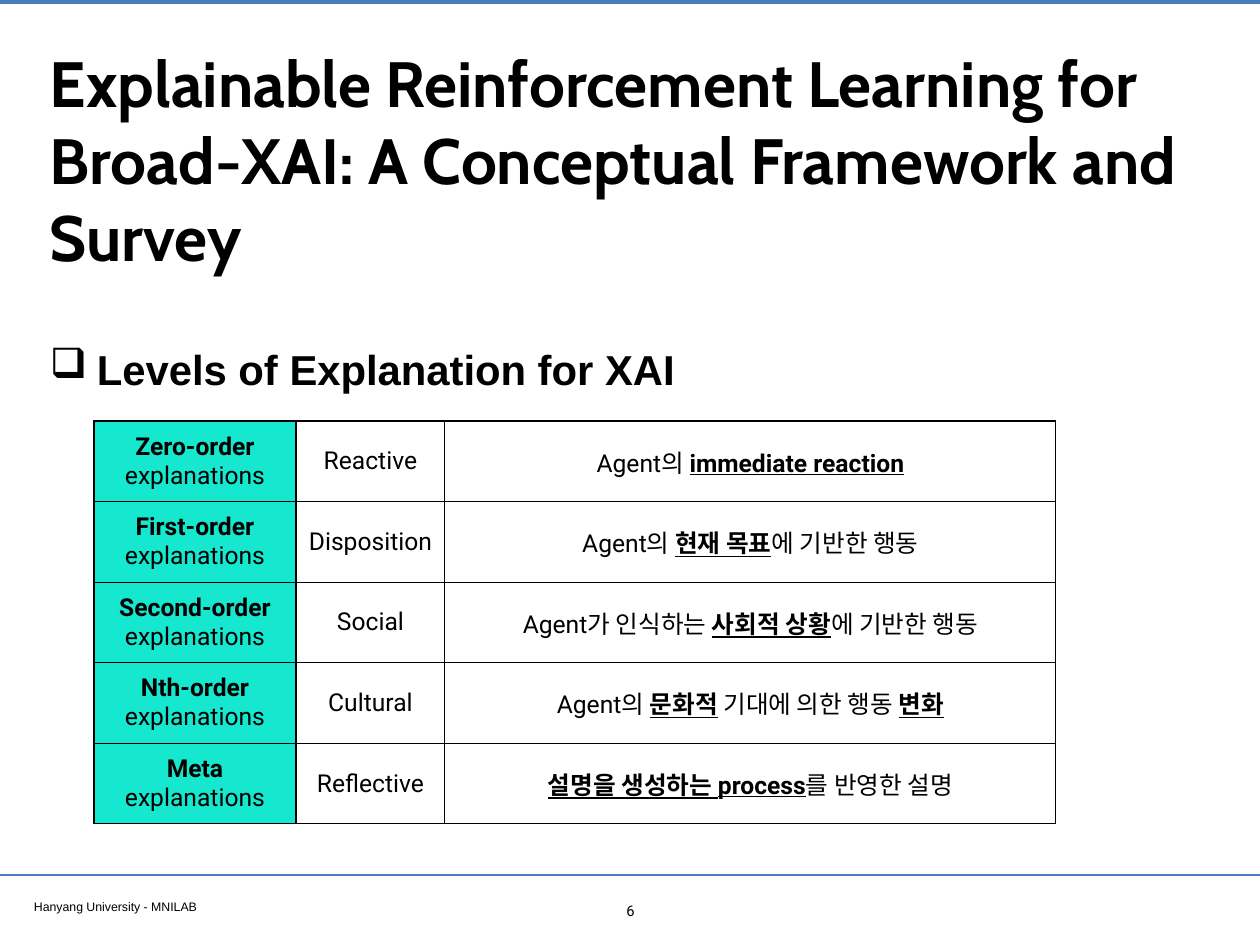
import pptx
import pptx.dml.color
import pptx.enum.text
import pptx.oxml
import pptx.util
from lxml import etree
from pptx.oxml.ns import qn

ALIGN = pptx.enum.text.PP_ALIGN
ANCHOR = pptx.enum.text.MSO_ANCHOR
COLORS = {"text": "000000", "rule": "4A7EBB", "level": "16E7CF"}
SCALE = 10320  # EMU in one px
PAD = 5


def px(count):
    return pptx.util.Emu(count * SCALE)


def rgb(name):
    return pptx.dml.color.RGBColor.from_string(COLORS[name])


class Page:
    def __init__(self, deck):
        self.slide = deck.slides.add_slide(deck.slide_layouts[5])
        self.shapes = self.slide.shapes

    def style(self, font, face, size, bold=False):
        font.name = face
        font.size = pptx.util.Pt(size)
        font.bold = bold
        font.color.rgb = rgb("text")

    def fill(self, shape, text, face, size, bold=False, align=ALIGN.LEFT):
        frame = shape.text_frame
        frame.text = text
        frame.word_wrap = True
        frame.auto_size = pptx.enum.text.MSO_AUTO_SIZE.NONE
        frame.margin_left = frame.margin_right = px(PAD)
        frame.margin_top = frame.margin_bottom = px(PAD)
        para = frame.paragraphs[0]
        para.alignment = align
        self.style(para.runs[0].font, face, size, bold)
        return para

    def title(self, box, text, face, size):
        shape = self.shapes.title
        shape.left, shape.top, shape.width, shape.height = map(px, box)
        self.fill(shape, text, face, size, True)
        shape.text_frame.vertical_anchor = ANCHOR.MIDDLE

    def text(self, box, text, face, size, bold=False, align=ALIGN.LEFT):
        shape = self.shapes.add_textbox(*map(px, box))
        return self.fill(shape, text, face, size, bold, align)

    def bullet(self, para, mark, indent):
        props = para._p.get_or_add_pPr()
        props.set("marL", str(px(indent)))
        props.set("indent", str(-px(indent)))
        etree.SubElement(props, qn("a:buChar")).set("char", mark)

    def rule(self, y, width):
        kind = pptx.enum.shapes.MSO_CONNECTOR.STRAIGHT
        line = self.shapes.add_connector(kind, 0, px(y), px(1260), px(y))
        line.line.color.rgb = rgb("rule")
        line.line.width = pptx.util.Pt(width)
        etree.SubElement(line._element.spPr, qn("a:effectLst"))

    def border(self, cell, width):
        props = cell._tc.get_or_add_tcPr()
        for side in ("lnL", "lnR", "lnT", "lnB"):
            edge = etree.SubElement(props, qn("a:" + side))
            edge.set("w", str(pptx.util.Pt(width)))
            solid = etree.SubElement(edge, qn("a:solidFill"))
            etree.SubElement(solid, qn("a:srgbClr")).set("val", COLORS["text"])

    def cell(self, cell, text, face, size, head):
        """Parts of the text between bars are bold; outside the head column, underlined too."""
        self.border(cell, 1)
        if head:
            cell.fill.solid()
            cell.fill.fore_color.rgb = rgb("level")
        else:
            cell.fill.background()
        cell.vertical_anchor = ANCHOR.MIDDLE
        para = cell.text_frame.paragraphs[0]
        para.alignment = ALIGN.CENTER
        for order, part in enumerate(text.split("|")):
            if part:
                strong = order % 2 == 1
                run = para.add_run()
                run.text = part
                self.style(run.font, face, size, strong)
                run.font.underline = strong and not head

    def table(self, spot, widths, height, rows, face, size):
        box = (*spot, sum(widths), height)
        table = self.shapes.add_table(len(rows), len(widths), *map(px, box)).table
        table.first_row = table.horz_banding = False
        for column, width in zip(table.columns, widths):
            column.width = px(width)
        for r, row in enumerate(rows):
            for c, text in enumerate(row):
                self.cell(table.cell(r, c), text, face, size, c == 0)


LEVELS = [
    ("|Zero-order| explanations", "Reactive", "Agent의 |immediate reaction|"),
    ("|First-order| explanations", "Disposition", "Agent의 |현재 목표|에 기반한 행동"),
    ("|Second-order| explanations", "Social", "Agent가 인식하는 |사회적 상황|에 기반한 행동"),
    ("|Nth-order| explanations", "Cultural", "Agent의 |문화적| 기대에 의한 행동 |변화|"),
    ("|Meta| explanations", "Reflective", "|설명을 생성하는 process|를 반영한 설명"),
]


def main():
    deck = pptx.Presentation()
    deck.slide_width, deck.slide_height = px(1260), px(945)
    page = Page(deck)

    # Frame lines and footer
    page.rule(2, 3.2)
    page.rule(875, 2)
    page.text((29, 894, 484, 23), "Hanyang University - MNILAB", "Arial", 10)
    page.text((613, 897, 35, 27), "6", "Roboto", 12, align=ALIGN.CENTER)

    # Title and heading
    page.title((45, 25, 1170, 268), "Explainable Reinforcement Learning for Broad-XAI: "
               "A Conceptual Framework and Survey", "Cabin", 52)
    head = page.text((45, 329, 1119, 112), "Levels of Explanation for XAI", "Arial", 34, True)
    page.bullet(head, "❑", 47)
    head.line_spacing = 1.2

    # Table of levels
    page.table((94, 421), (202, 149, 611), 403, LEVELS, "Roboto", 20)

    deck.save("out.pptx")


if __name__ == "__main__":
    main()
